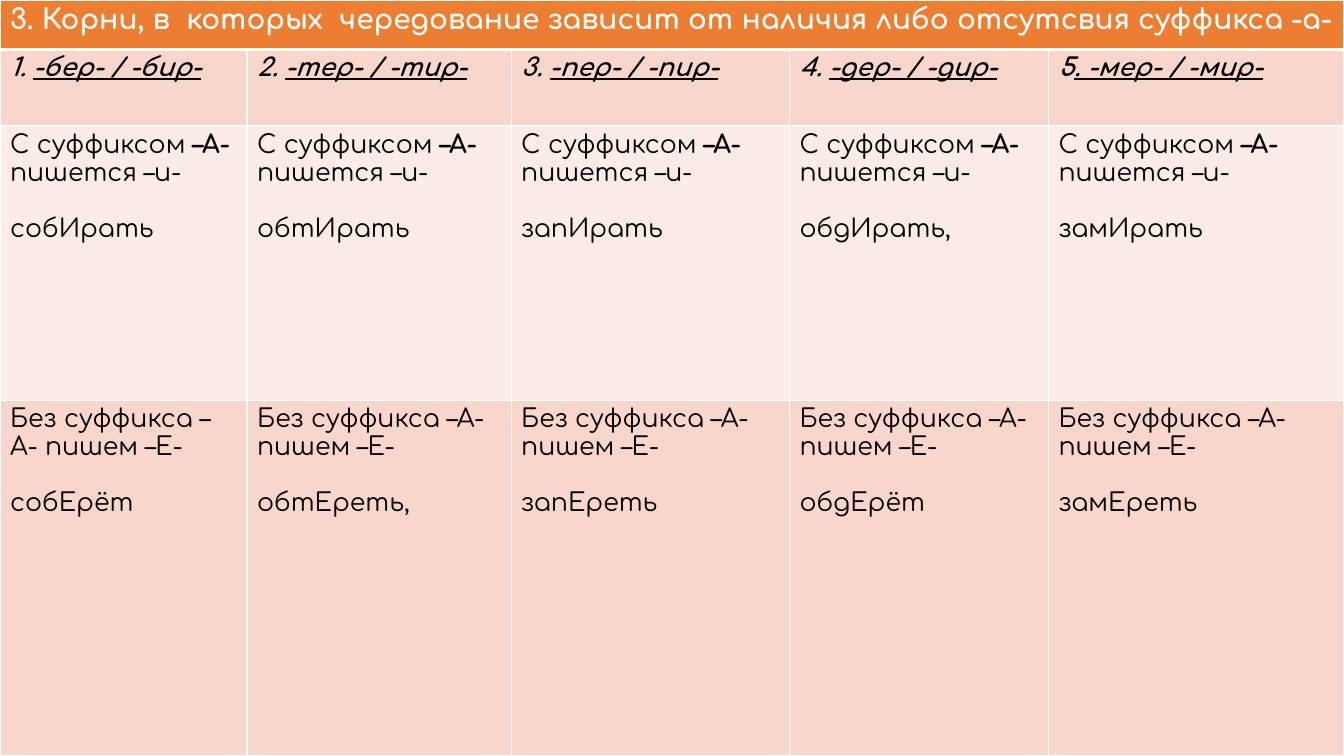
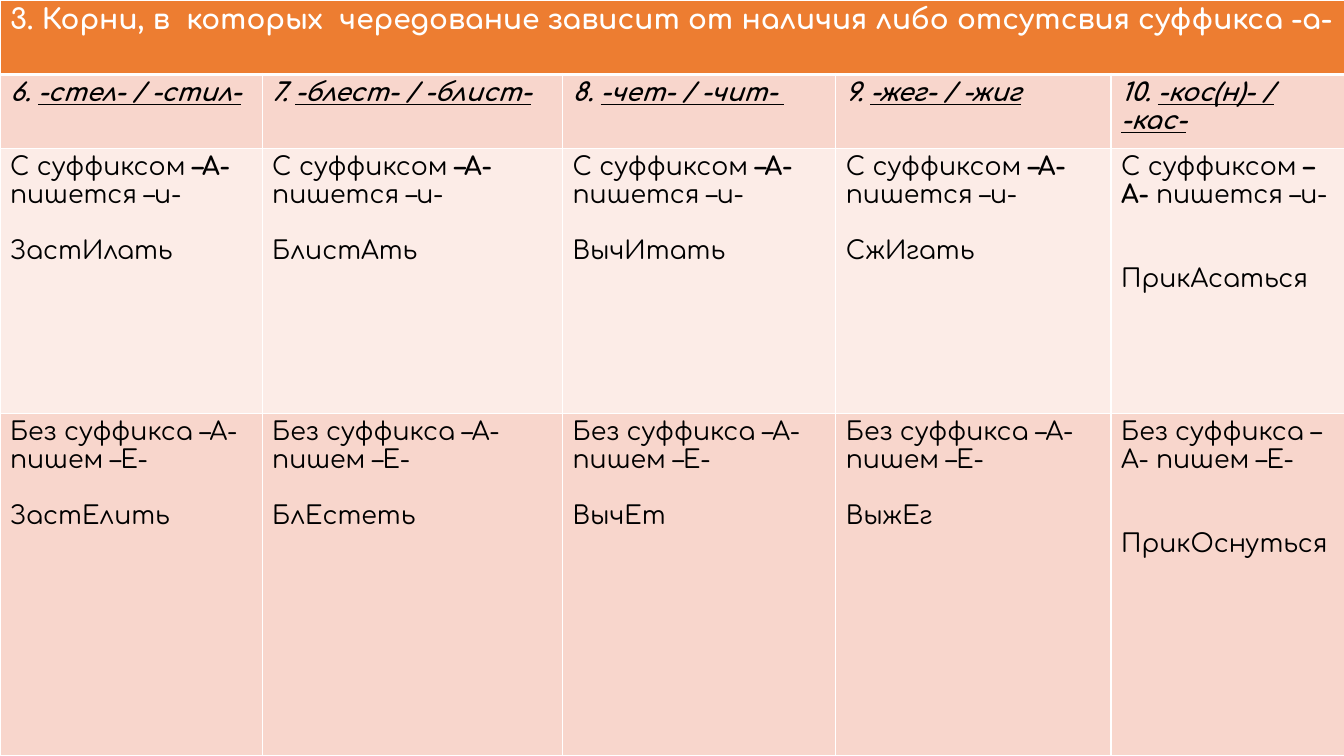
from dataclasses import dataclass

from lxml import etree
from pptx import Presentation
from pptx.dml.color import RGBColor
from pptx.oxml import parse_xml
from pptx.oxml.ns import nsdecls, qn
from pptx.util import Inches, Pt


@dataclass(frozen=True)
class Theme:
    font: str = "Comfortaa"
    header_size: int = 20
    body_size: int = 18
    line_pitch: int = 20
    thin_border: int = 1
    thick_border: int = 3
    white: str = "FFFFFF"
    black: str = "000000"
    accent: str = "ED7D31"
    rose: str = "F8D6CC"
    pale: str = "FCECE7"
    # Background stops: position %, colour, opacity %
    backdrop: tuple = ((0, "F5F7FC", 100), (33, "F7CAAC", 66),
                       (52, "F7CAAC", 100), (88, "F4B081", 100),
                       (100, "F4B081", 100))
    backdrop_angle: int = 135


@dataclass(frozen=True)
class Root:
    number: str
    spelling: str
    with_suffix: str
    without_suffix: str
    gap_lines: int = 1


THEME = Theme()
TITLE = ("3. Корни, в  которых  чередование зависит от наличия "
         "либо отсутсвия суффикса -а-")
WITH_RULE = (("С суффиксом ", {}), ("–А-", {"bold": True}),
             (" пишется –и-", {}))
WITHOUT_RULE = (("Без суффикса –А- пишем –Е-", {}),)

# Column widths, row heights and roots of each slide
TABLES = (
    ((2.45, 2.62, 2.76, 2.57, 2.93), (0.49, 0.76, 2.72, 3.53), (
        Root("1. ", "-бер- / -бир-", "собИрать", "собЕрёт"),
        Root("2. ", "-тер- / -тир-", "обтИрать", "обтЕреть,"),
        Root("3. ", "-пер- / -пир-", "запИрать", "запЕреть"),
        Root("4. ", "-дер- / -дир-", "обдИрать,", "обдЕрёт"),
        Root("5", ". -мер- / -мир-", "замИрать", "замЕреть"),
    )),
    ((2.6, 2.98, 2.71, 2.73, 2.32), (0.74, 0.73, 2.63, 3.4), (
        Root("6. ", "-стел- / -стил-", "ЗастИлать", "ЗастЕлить"),
        Root("7. ", "-блест- / -блист-", "БлистАть", "БлЕстеть"),
        Root("8. ", "-чет- / -чит- ", "ВычИтать", "ВычЕт"),
        Root("9. ", "-жег- / -жиг", "СжИгать", "ВыжЕг"),
        Root("10. ", "-кос(н)- / -кас-", "ПрикАсаться",
             "ПрикОснуться", gap_lines=2),
    )),
)


def set_backdrop(master):
    """Give all slides the shared gradient background."""
    master.background.fill.gradient()
    gradient = master.element.find(".//" + qn("a:gradFill"))
    for child in list(gradient):
        gradient.remove(child)
    stops = etree.SubElement(gradient, qn("a:gsLst"))
    for position, color, opacity in THEME.backdrop:
        stop = etree.SubElement(stops, qn("a:gs"), pos=str(position * 1000))
        fill = etree.SubElement(stop, qn("a:srgbClr"), val=color)
        if opacity < 100:
            etree.SubElement(fill, qn("a:alpha"), val=str(opacity * 1000))
    etree.SubElement(gradient, qn("a:lin"), scaled="0",
                     ang=str(THEME.backdrop_angle * 60000))


def style_cell(cell, color, top, bottom):
    """Draw white borders, then fill the cell."""
    properties = cell._tc.get_or_add_tcPr()
    thin = THEME.thin_border
    for side, width in (("L", thin), ("R", thin), ("T", top), ("B", bottom)):
        properties.append(parse_xml(
            f'<a:ln{side} {nsdecls("a")} w="{Pt(width)}"><a:solidFill>'
            f'<a:srgbClr val="{THEME.white}"/></a:solidFill></a:ln{side}>'))
    cell.fill.solid()
    cell.fill.fore_color.rgb = RGBColor.from_string(color)


def add_runs(paragraph, pieces, size=THEME.body_size, color=THEME.black):
    """Write (text, format) pieces into a paragraph."""
    for text, formats in pieces:
        run = paragraph.add_run()
        run.text = text
        font = run.font
        font.name = THEME.font
        font.size = Pt(size)
        font.color.rgb = RGBColor.from_string(color)
        font.bold = formats.get("bold", False)
        font.italic = formats.get("italic", False)
        font.underline = formats.get("underline", False)


def write_rule(cell, rule, example, gap_lines):
    """Write a spelling rule with its example some lines below."""
    add_runs(cell.text_frame.paragraphs[0], rule)
    paragraph = cell.text_frame.add_paragraph()
    paragraph.space_before = Pt(THEME.line_pitch * gap_lines)
    add_runs(paragraph, ((example, {}),))


def style_table(table):
    """Colour every row and thicken the line under the header."""
    thin, thick = THEME.thin_border, THEME.thick_border
    row_styles = ((THEME.accent, thin, thick), (THEME.rose, thick, thin),
                  (THEME.pale, thin, thin), (THEME.rose, thin, thin))
    for row, row_style in zip(table.rows, row_styles):
        for cell in row.cells:
            style_cell(cell, *row_style)


def add_root_table(slide, widths, heights, roots):
    """Fill the slide with a table of alternating roots."""
    table = slide.shapes.add_table(
        len(heights), len(widths), 0, 0,
        Inches(sum(widths)), Inches(sum(heights))).table
    table.horz_banding = False
    for column, width in zip(table.columns, widths):
        column.width = Inches(width)
    for row, height in zip(table.rows, heights):
        row.height = Inches(height)
    style_table(table)

    # Header across all columns
    header = table.cell(0, 0)
    header.merge(table.cell(0, len(widths) - 1))
    add_runs(header.text_frame.paragraphs[0], ((TITLE, {"bold": True}),),
             THEME.header_size, THEME.white)

    # One column for each root
    label = {"bold": True, "italic": True}
    for index, root in enumerate(roots):
        add_runs(table.cell(1, index).text_frame.paragraphs[0],
                 ((root.number, label),
                  (root.spelling, {**label, "underline": True})))
        write_rule(table.cell(2, index), WITH_RULE,
                   root.with_suffix, root.gap_lines)
        write_rule(table.cell(3, index), WITHOUT_RULE,
                   root.without_suffix, root.gap_lines)


def main():
    presentation = Presentation()
    presentation.slide_width = Inches(13.33)
    presentation.slide_height = Inches(7.5)
    set_backdrop(presentation.slide_master)
    blank_layout = presentation.slide_layouts[6]
    for widths, heights, roots in TABLES:
        slide = presentation.slides.add_slide(blank_layout)
        add_root_table(slide, widths, heights, roots)
    presentation.save("out.pptx")


main()
